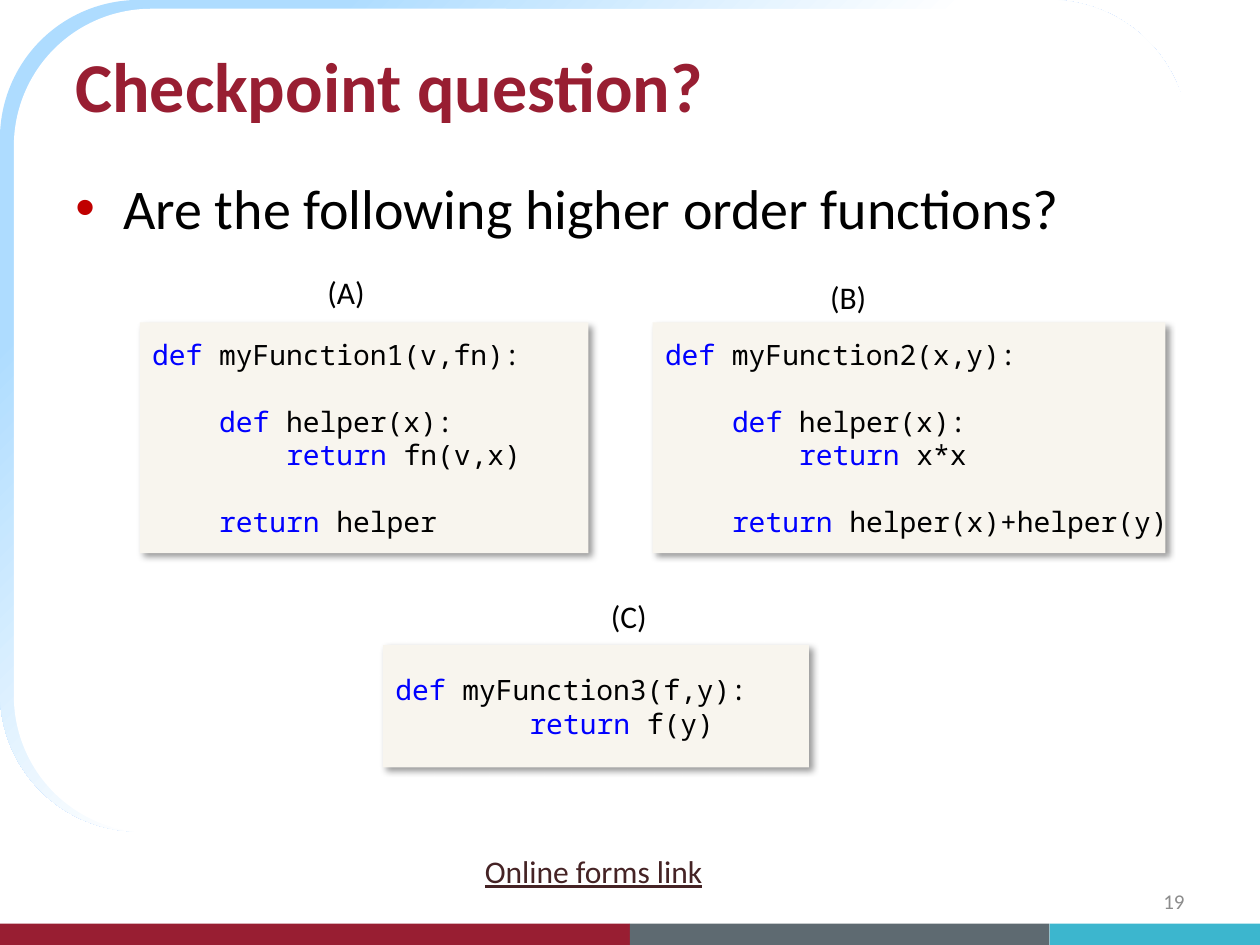
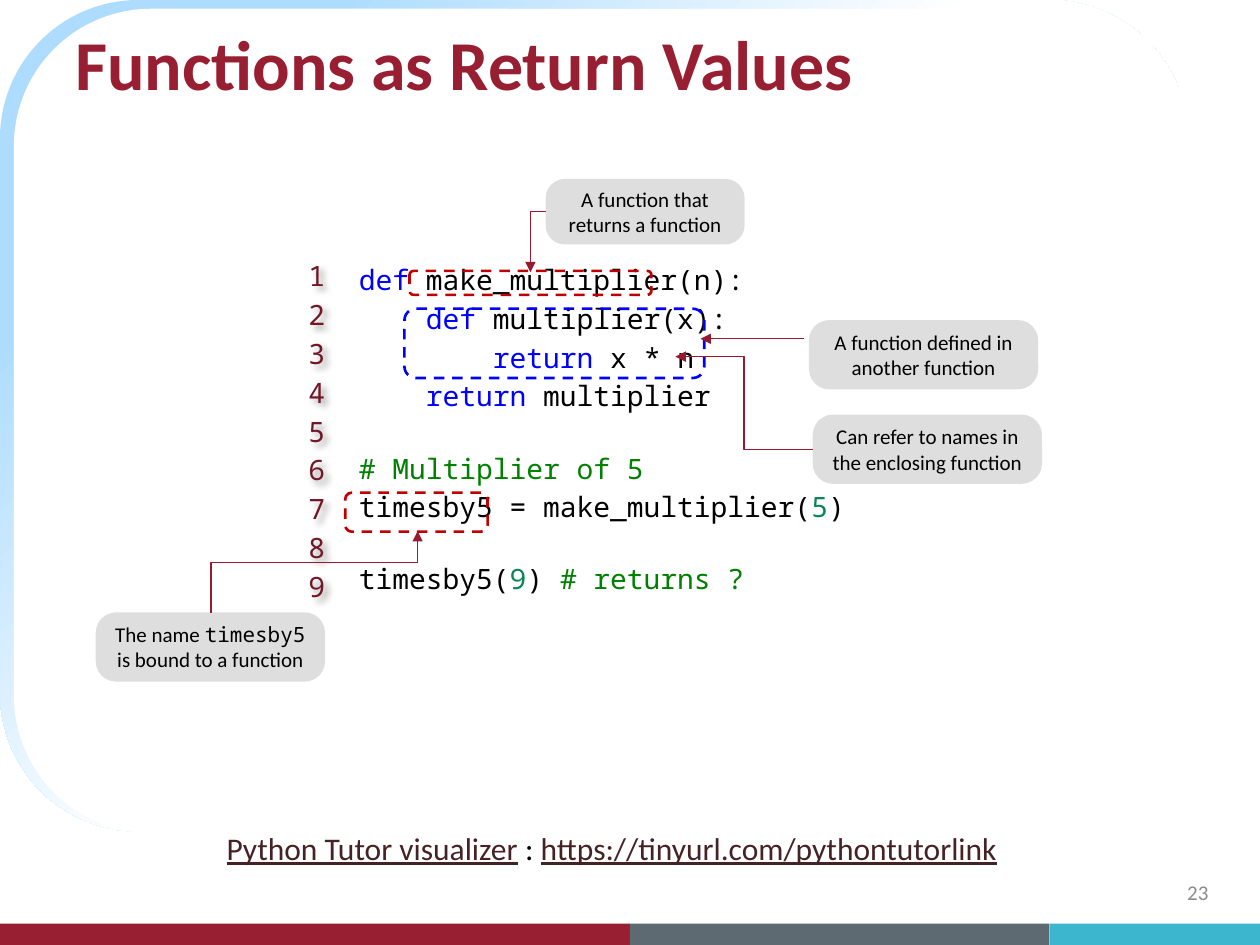
from lxml import etree
from pptx import Presentation
from pptx.dml.color import RGBColor
from pptx.enum.dml import MSO_LINE
from pptx.enum.shapes import MSO_CONNECTOR, MSO_SHAPE
from pptx.enum.text import MSO_ANCHOR, MSO_AUTO_SIZE, PP_ALIGN
from pptx.oxml.ns import qn
from pptx.util import Inches, Pt

RECTANGLE, ROUNDED = MSO_SHAPE.RECTANGLE, MSO_SHAPE.ROUNDED_RECTANGLE
ELBOW = MSO_CONNECTOR.ELBOW
DASH = MSO_LINE.DASH
TOP, MIDDLE = MSO_ANCHOR.TOP, MSO_ANCHOR.MIDDLE
LEFT, CENTER, RIGHT = PP_ALIGN.LEFT, PP_ALIGN.CENTER, PP_ALIGN.RIGHT
GROW = MSO_AUTO_SIZE.SHAPE_TO_FIT_TEXT

COLORS = {
    "white": "FFFFFF", "black": "000000", "crimson": "981E32",
    "slate": "5E6A71", "teal": "3CB6CE", "sky": "AEDCFF",
    "bullet": "C00000", "page": "8C8C8C", "paper": "F8F5EE",
    "link": "452325", "callout": "BFBFBF", "arrow": "981A2F",
    "keyword": "0000FF", "comment": "008000", "number": "098658",
    "line number": "721725",
}
SANS, MONO = "Calibri", "Noto Sans Mono"
CODE = {"name": MONO, "size": Pt(16)}
LABEL = {"name": SANS, "size": Pt(18)}
# style name: (font attributes, colour)
STYLES = {
    "title": ({"name": SANS, "size": Pt(40), "bold": True}, "crimson"),
    "body": ({"name": SANS, "size": Pt(32)}, "black"),
    "page": ({"name": SANS, "size": Pt(12)}, "page"),
    "label": (LABEL, "black"),
    "link": ({**LABEL, "underline": True}, "link"),
    "callout": ({"name": SANS, "size": Pt(12)}, "black"),
    "callout code": ({"name": MONO, "size": Pt(12)}, "black"),
    "code": (CODE, "black"),
    "keyword": (CODE, "keyword"),
    "comment": (CODE, "comment"),
    "number": (CODE, "number"),
    "line number": (CODE, "line number"),
}
CODE_LINE_HEIGHT = 19
DEF, RETURN = ("def", "keyword"), ("return", "keyword")


def rgb(color):
    return RGBColor.from_string(COLORS[color])


def add_element(parent, tag, **attributes):
    return etree.SubElement(parent, qn(tag), attributes)


class Deck:
    def __init__(self):
        self.presentation = Presentation()
        self.presentation.slide_width = Inches(10)
        self.presentation.slide_height = Inches(7.5)
        self.slide = None

    def new_slide(self, title, title_top, number, number_left, number_top):
        layout = self.presentation.slide_layouts[6]
        self.slide = self.presentation.slides.add_slide(layout)
        frame = self.shape(ROUNDED, 0, 0, 9.43, 6.6)
        frame.fill.gradient()
        frame.fill.gradient_angle = 315
        stops = zip(frame.fill.gradient_stops, ((0.17, "sky"), (0.48, "white")))
        for stop, (position, color) in stops:
            stop.position = position
            stop.color.rgb = rgb(color)
        self.shape(ROUNDED, 0.11, 0.07, 9.35, 6.54, "white")
        for left, width, color in ((0, 5, "crimson"), (5, 3.33, "slate"),
                                   (8.33, 1.67, "teal")):
            self.shape(RECTANGLE, left, 7.33, width, 0.17, color)
        self.text(0.5, title_top, 8.42, 1, [[title]], "title", anchor=MIDDLE)
        self.text(number_left, number_top, 2.33, 0.4, [[number]], "page",
                  anchor=MIDDLE, align=RIGHT)

    def shape(self, kind, left, top, width, height, fill=None):
        shape = self.slide.shapes.add_shape(
            kind, Inches(left), Inches(top), Inches(width), Inches(height))
        shape.shadow.inherit = False
        shape.line.fill.background()
        if fill:
            shape.fill.solid()
            shape.fill.fore_color.rgb = rgb(fill)
        else:
            shape.fill.background()
        return shape

    def set_text(self, shape, lines, style, align=LEFT, space=0, **frame_format):
        """Fill a shape; a piece is a string or (text, style), [] is a gap."""
        frame = shape.text_frame
        for name, value in frame_format.items():
            setattr(frame, name, value)
        paragraph, gap = None, 0
        for pieces in lines:
            if not pieces:
                gap = CODE_LINE_HEIGHT
                continue
            if paragraph is None:
                paragraph = frame.paragraphs[0]
            else:
                paragraph = frame.add_paragraph()
                paragraph.space_before = Pt(space + gap)
            paragraph.alignment = align
            gap = 0
            for piece in pieces:
                text, piece_style = (piece, style) if isinstance(piece, str) else piece
                run = paragraph.add_run()
                run.text = text
                font_format, color = STYLES[piece_style]
                for name, value in font_format.items():
                    setattr(run.font, name, value)
                run.font.color.rgb = rgb(color)

    def text(self, left, top, width, height, lines, style, align=LEFT, space=0,
             anchor=TOP, wrap=True, grow=False):
        box = self.slide.shapes.add_textbox(
            Inches(left), Inches(top), Inches(width), Inches(height))
        frame_format = {"vertical_anchor": anchor, "word_wrap": wrap}
        if grow:
            frame_format["auto_size"] = GROW
        self.set_text(box, lines, style, align, space, **frame_format)
        return box

    def label(self, left, top, width, text, style="label"):
        self.text(left, top, width, 0.4, [[text]], style, wrap=False, grow=True)

    def bullet(self, left, top, width, height, text):
        box = self.text(left, top, width, height, [[text]], "body")
        properties = box.text_frame.paragraphs[0]._p.get_or_add_pPr()
        properties.set("marL", str(Inches(0.38)))
        properties.set("indent", str(-Inches(0.38)))
        color = add_element(properties, "a:buClr")
        add_element(color, "a:srgbClr", val=COLORS["bullet"])
        add_element(properties, "a:buFont", typeface="Arial")
        add_element(properties, "a:buChar", char="•")

    def drop_shadow(self, shape):
        shape.shadow.inherit = False
        effects = shape._element.spPr.find(qn("a:effectLst"))
        shadow = add_element(effects, "a:outerShdw", blurRad=str(Pt(4)),
                             dist=str(Pt(3)), dir="2700000", algn="tl",
                             rotWithShape="0")
        color = add_element(shadow, "a:srgbClr", val=COLORS["black"])
        add_element(color, "a:alpha", val="40000")

    def code_panel(self, left, top, width, height, lines):
        panel = self.shape(RECTANGLE, left, top, width, height, "paper")
        self.drop_shadow(panel)
        self.set_text(panel, lines, "code", vertical_anchor=MIDDLE, word_wrap=False)

    def callout(self, left, top, width, height, pieces):
        callout = self.shape(ROUNDED, left, top, width, height, "callout")
        callout.adjustments[0] = 0.293
        color = callout._element.spPr.find(qn("a:solidFill"))[0]
        add_element(color, "a:alpha", val="50000")
        self.set_text(callout, [pieces], "callout", CENTER,
                      vertical_anchor=MIDDLE, word_wrap=True)

    def dashed_box(self, left, top, width, height, color):
        line = self.shape(ROUNDED, left, top, width, height).line
        line.color.rgb = rgb(color)
        line.width = Pt(1.5)
        line.dash_style = DASH

    def elbow_arrow(self, left, top, width, height, rotation, flips="",
                    preset="bentConnector3", bend=None):
        """Place a bent arrow by its unrotated frame; flips holds h and/or v."""
        connector = self.slide.shapes.add_connector(
            ELBOW, Inches(left), Inches(top),
            Inches(left + width), Inches(top + height))
        connector.line.color.rgb = rgb("arrow")
        connector.line.width = Pt(0.75)
        properties = connector._element.spPr
        frame = properties.find(qn("a:xfrm"))
        frame.set("rot", str(rotation * 60000))
        for flip in flips:
            frame.set("flip" + flip.upper(), "1")
        geometry = properties.find(qn("a:prstGeom"))
        geometry.set("prst", preset)
        if bend is not None:
            guides = geometry.get_or_add_avLst()
            add_element(guides, "a:gd", name="adj1", fmla=f"val {round(bend * 100000)}")
        add_element(properties.find(qn("a:ln")), "a:tailEnd", type="triangle")
        add_element(properties, "a:effectLst")


def build_checkpoint(deck):
    deck.new_slide("Checkpoint question?", 0.17, "19", 7.17, 6.95)
    deck.bullet(0.5, 1.33, 9.33, 5.58, "Are the following higher order functions?")
    helper = ["    ", DEF, " helper(x):"]
    deck.code_panel(1.11, 2.56, 3.56, 1.83, [
        [DEF, " myFunction1(v,fn):"], [],
        helper,
        ["        ", RETURN, " fn(v,x)"], [],
        ["    ", RETURN, " helper"],
    ])
    deck.code_panel(5.18, 2.56, 4.07, 1.83, [
        [DEF, " myFunction2(x,y):"], [],
        helper,
        ["        ", RETURN, " x*x"], [],
        ["    ", RETURN, " helper(x)+helper(y)"],
    ])
    deck.code_panel(3.04, 5.12, 3.38, 0.97, [
        [DEF, " myFunction3(f,y):"],
        ["        ", RETURN, " f(y)"],
    ])
    for left, top, text in ((2.5, 2.12, "(A)"), (6.49, 2.16, "(B)"),
                            (4.75, 4.69, "(C)")):
        deck.label(left, top, 0.5, text)
    deck.label(3.75, 6.71, 2, "Online forms link", "link")


def build_return_values(deck):
    deck.new_slide("Functions as Return Values", 0, "23", 7.36, 6.88)
    deck.text(2.75, 1.75, 5.55, 3.31, [
        [DEF, " make_multiplier(n):"],
        ["    ", DEF, " multiplier(x):"],
        ["        ", RETURN, " x * n"],
        ["    ", RETURN, " multiplier"], [],
        [("# Multiplier of 5", "comment")],
        ["timesby5 = make_multiplier(", ("5", "number"), ")"], [],
        ["timesby5(", ("9", "number"), ") ", ("# returns ?", "comment")],
    ], "code", space=3, anchor=MIDDLE, wrap=False)
    deck.text(1.7, 6.53, 6.6, 0.4, [[
        ("Python Tutor visualizer", "link"), " : ",
        ("https://tinyurl.com/pythontutorlink", "link"),
    ]], "label", grow=True)
    line_numbers = deck.text(2.35, 1.73, 0.4, 3.38,
                             [[str(number)] for number in range(1, 10)],
                             "line number", space=3, anchor=MIDDLE, wrap=False)
    deck.drop_shadow(line_numbers)

    deck.callout(4.33, 1.42, 1.58, 0.52, ["A function that returns a function"])
    deck.elbow_arrow(4.21, 1.68, 0.12, 0.48, 180, "v", "bentConnector2")
    deck.dashed_box(3.25, 2.15, 1.92, 0.19, "bullet")

    deck.dashed_box(2.74, 3.91, 1.13, 0.31, "bullet")
    deck.callout(0.76, 4.86, 1.82, 0.55, [
        "The name ", ("timesby5", "callout code"), " is bound to a function"])
    deck.elbow_arrow(2.17, 3.72, 0.65, 1.64, 90, "hv", bend=0.614)

    deck.dashed_box(3.21, 2.45, 2.38, 0.55, "keyword")
    deck.callout(6.42, 2.54, 1.82, 0.55, ["A function defined in another function"])
    deck.elbow_arrow(5.56, 2.69, 0.82, 0, 180, "v")

    deck.callout(6.45, 3.29, 1.82, 0.55,
                 ["Can refer to names in the enclosing function"])
    deck.elbow_arrow(5.36, 2.83, 1.09, 0.74, 180)


def main():
    deck = Deck()
    build_checkpoint(deck)
    build_return_values(deck)
    deck.presentation.save("out.pptx")


if __name__ == "__main__":
    main()
